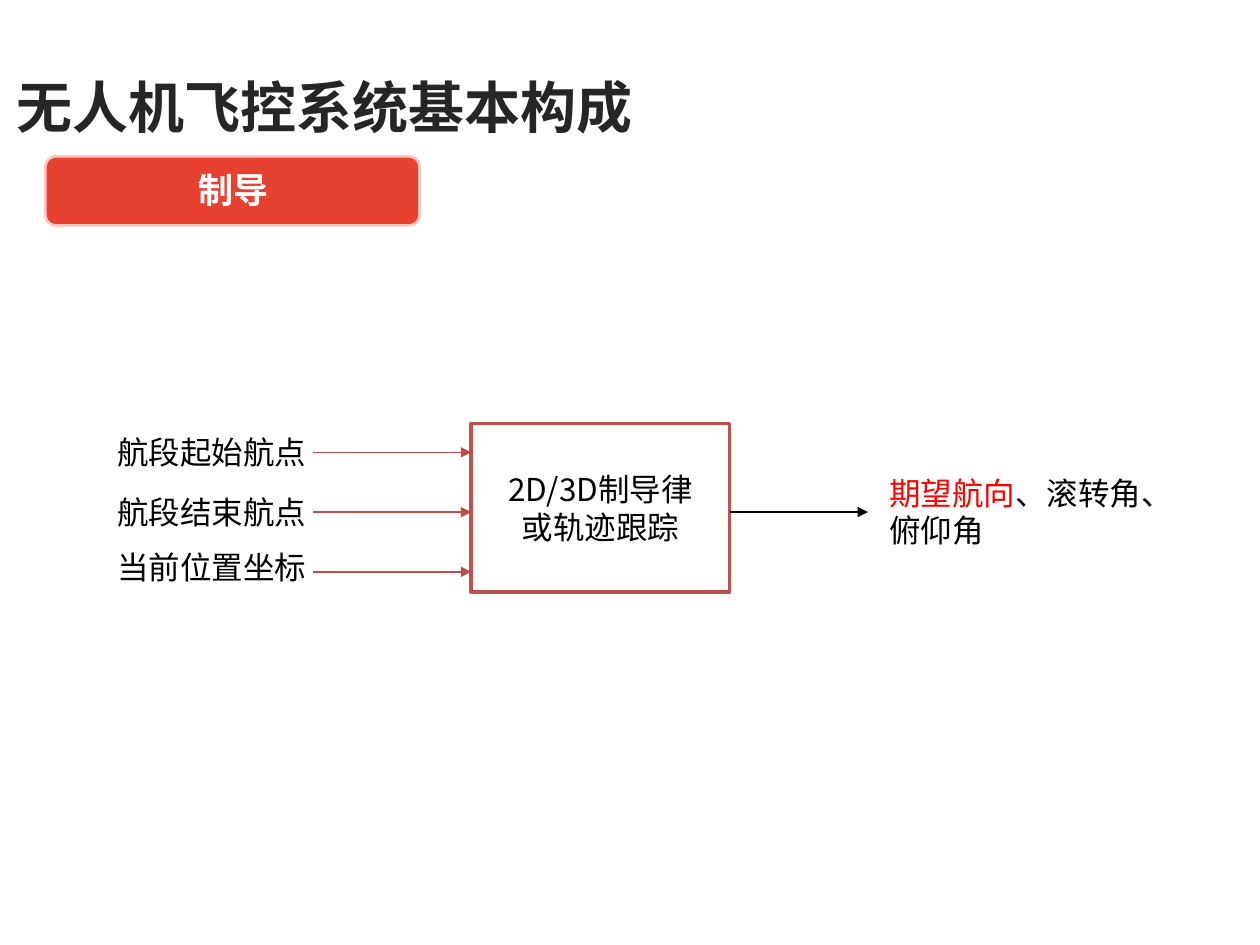
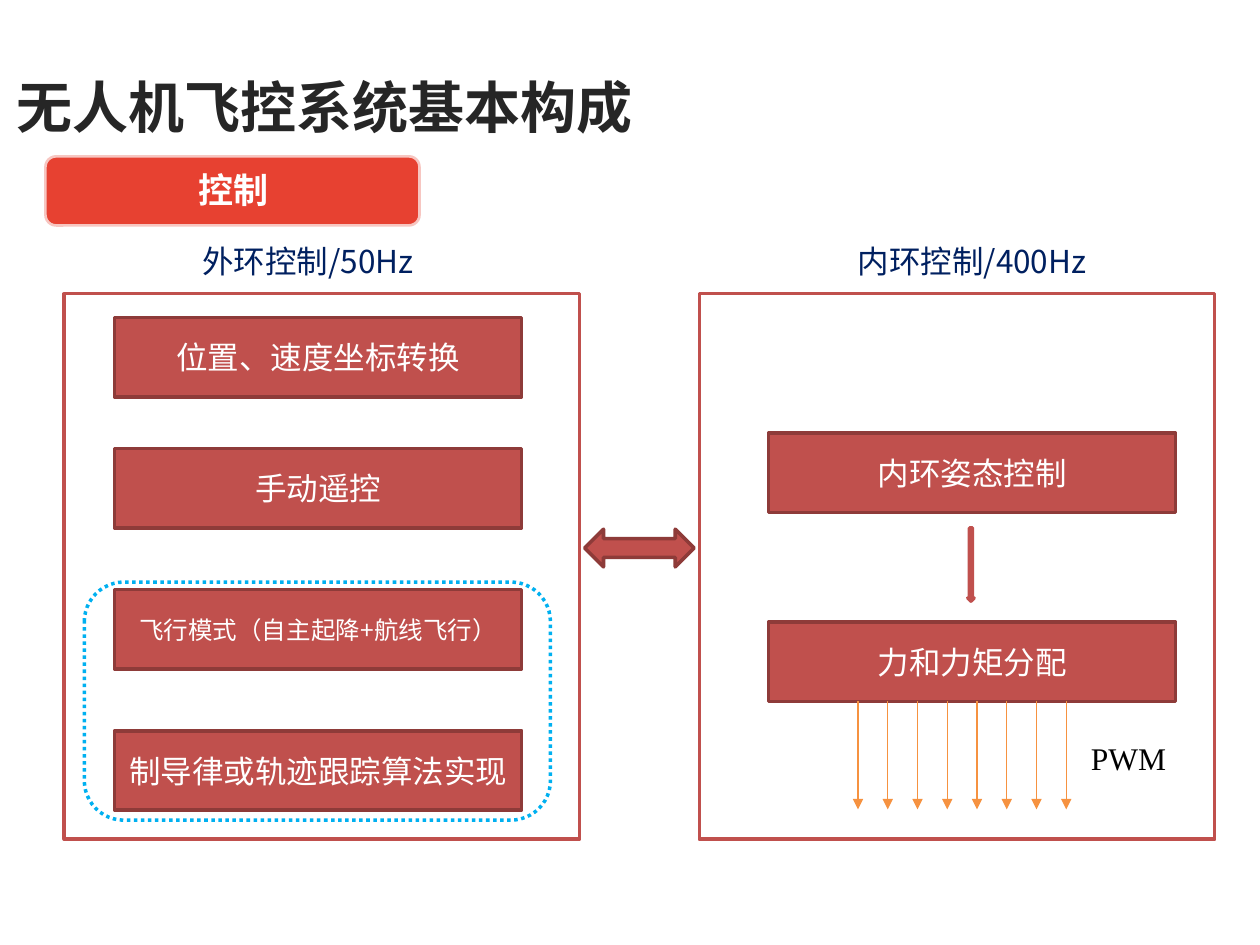
from dataclasses import dataclass

from lxml.etree import SubElement
from pptx import Presentation
from pptx.dml.color import RGBColor
from pptx.enum.dml import MSO_LINE
from pptx.enum.shapes import MSO_CONNECTOR, MSO_SHAPE
from pptx.enum.text import MSO_ANCHOR, MSO_AUTO_SIZE, PP_ALIGN
from pptx.oxml.ns import qn
from pptx.util import Pt


@dataclass(frozen=True)
class Theme:
    """Colours, fonts and sizes shared by the slides."""
    white: str = "FFFFFF"
    black: str = "000000"
    title: str = "262626"
    badge: str = "E74131"
    brick: str = "C0504D"
    brick_dark: str = "8E3B39"
    input_line: str = "BF4C48"
    highlight: str = "FF0000"
    navy: str = "002060"
    orange: str = "F69240"
    sky: str = "00B0F0"
    heading_font: str = "Noto Sans CJK SC"
    body_font: str = "Noto Sans CJK KR"
    signal_font: str = "Times New Roman"
    title_size: float = 32
    badge_size: float = 20
    body_size: float = 18
    small_size: float = 14
    outline: float = 2
    badge_outline: float = 3
    arrow_width: float = 0.75


THEME = Theme()


def dress(shape, paragraphs=(), fill=None, line=None, width=THEME.outline,
          font=THEME.body_font, size=THEME.body_size, bold=False,
          align=PP_ALIGN.CENTER, anchor=MSO_ANCHOR.MIDDLE, grow=False):
    """Set fill, outline and text; each paragraph is a list of (text, colour) runs."""
    shape.shadow.inherit = False
    if fill:
        shape.fill.solid()
        shape.fill.fore_color.rgb = RGBColor.from_string(fill)
    else:
        shape.fill.background()
    if line:
        shape.line.color.rgb = RGBColor.from_string(line)
        shape.line.width = Pt(width)
    else:
        shape.line.fill.background()
    frame = shape.text_frame
    frame.word_wrap = True
    frame.vertical_anchor = anchor
    frame.auto_size = MSO_AUTO_SIZE.SHAPE_TO_FIT_TEXT if grow else MSO_AUTO_SIZE.NONE
    for index, runs in enumerate(paragraphs):
        paragraph = frame.add_paragraph() if index else frame.paragraphs[0]
        paragraph.alignment = align
        for text, colour in runs:
            run = paragraph.add_run()
            run.text = text
            run.font.size = Pt(size)
            run.font.bold = bold
            run.font.name = font
            run.font.color.rgb = RGBColor.from_string(colour)
            SubElement(run._r.get_or_add_rPr(), qn("a:ea"), typeface=font)
    return shape


def add_arrow(slide, start, end, colour):
    """Draw a thin straight arrow from start to end."""
    arrow = slide.shapes.add_connector(
        MSO_CONNECTOR.STRAIGHT, *map(Pt, (*start, *end)))
    arrow.line.color.rgb = RGBColor.from_string(colour)
    arrow.line.width = Pt(THEME.arrow_width)
    SubElement(arrow.line._get_or_add_ln(), qn("a:tailEnd"), type="triangle")
    SubElement(arrow._element.spPr, qn("a:effectLst"))


deck = Presentation()
deck.slide_width, deck.slide_height = Pt(720), Pt(540)

# Shared title and section badge
slides = []
for section in ("制导", "控制"):
    slide = deck.slides.add_slide(deck.slide_layouts[5])
    title = slide.shapes.title
    title.left, title.top, title.width, title.height = map(Pt, (2, 32, 718, 57))
    dress(title, [[("无人机飞控系统基本构成", THEME.title)]], font=THEME.heading_font,
          size=THEME.title_size, bold=True, align=PP_ALIGN.LEFT)

    badge = slide.shapes.add_group_shape().shapes
    plate = badge.add_shape(MSO_SHAPE.ROUNDED_RECTANGLE, *map(Pt, (25.2, 88.6, 215.3, 41)))
    dress(plate, fill=THEME.badge, line=THEME.white, width=THEME.badge_outline)
    plate_line_colour = plate.line._get_or_add_ln().find(".//" + qn("a:srgbClr"))
    SubElement(plate_line_colour, qn("a:alpha"), val="70000")
    caption = badge.add_shape(MSO_SHAPE.RECTANGLE, *map(Pt, (30.2, 92.9, 206.6, 31.7)))
    dress(caption, [[(section, THEME.white)]], fill=THEME.badge, font=THEME.heading_font,
          size=THEME.badge_size, bold=True, anchor=MSO_ANCHOR.TOP, grow=True)
    slides.append(slide)

guidance, control = slides

# Guidance: three inputs, one law, one output
law_left, law_top, law_width, law_height = 269.3, 241.9, 147.6, 96.5
law = guidance.shapes.add_shape(
    MSO_SHAPE.FLOWCHART_PROCESS, *map(Pt, (law_left, law_top, law_width, law_height)))
dress(law, [[("2D/3D制导律", THEME.black)], [("或轨迹跟踪", THEME.black)]],
      fill=THEME.white, line=THEME.brick)

inputs = (("航段起始航点", 244), ("航段结束航点", 278), ("当前位置坐标", 309.6))
for row, (name, top) in enumerate(inputs):
    y = 258.5 + 34.15 * row
    add_arrow(guidance, (178.6, y), (law_left, y), THEME.input_line)
    label = guidance.shapes.add_textbox(*map(Pt, (59.8, top, 124.6, 28.8)))
    dress(label, [[(name, THEME.black)]], align=PP_ALIGN.LEFT,
          anchor=MSO_ANCHOR.TOP, grow=True)

add_arrow(guidance, (law_left + law_width, 292.6), (496, 292.6), THEME.black)
output = guidance.shapes.add_textbox(*map(Pt, (501.1, 267.1, 164.9, 51.1)))
dress(output, [[("期望航向", THEME.highlight), ("、滚转角、俯仰角", THEME.black)]],
      align=PP_ALIGN.LEFT, anchor=MSO_ANCHOR.TOP, grow=True)

# Control: outer and inner loop, each a heading, a panel and its steps
step_width, step_height = 232.6, 45.4
loops = (
    ("外环控制/50Hz", 65.5, 36.7, 65.5, (
        ("位置、速度坐标转换", 181.4, THEME.body_size),
        ("手动遥控", 256.3, THEME.body_size),
        ("飞行模式（自主起降+航线飞行）", 337, THEME.small_size),
        ("制导律或轨迹跟踪算法实现", 417.6, THEME.body_size))),
    ("内环控制/400Hz", 445, 399.6, 439.2, (
        ("内环姿态控制", 247.4, THEME.body_size),
        ("力和力矩分配", 355.5, THEME.body_size))),
)
for name, heading_left, panel_left, step_left, steps in loops:
    panel = control.shapes.add_shape(
        MSO_SHAPE.RECTANGLE, *map(Pt, (panel_left, 167.8, 294.5, 311.8)))
    dress(panel, fill=THEME.white, line=THEME.brick)
    heading = control.shapes.add_textbox(*map(Pt, (heading_left, 134.6, 221, 28.8)))
    dress(heading, [[(name, THEME.navy)]], anchor=MSO_ANCHOR.TOP, grow=True)
    for text, top, size in steps:
        step = control.shapes.add_shape(
            MSO_SHAPE.RECTANGLE, *map(Pt, (step_left, top, step_width, step_height)))
        dress(step, [[(text, THEME.white)]], fill=THEME.brick,
              line=THEME.brick_dark, size=size)

inner_flow = control.shapes.add_shape(
    MSO_SHAPE.DOWN_ARROW, *map(Pt, (553, 301.7, 3.6, 41.8)))
dress(inner_flow, fill=THEME.white, line=THEME.brick)

for channel in range(8):
    x = 490.3 + 17 * channel
    add_arrow(control, (x, 400.7), (x, 462.5), THEME.orange)
pwm = control.shapes.add_textbox(*map(Pt, (616.3, 419, 93.6, 28.8)))
dress(pwm, [[("PWM", THEME.black)]], font=THEME.signal_font, align=PP_ALIGN.LEFT,
      anchor=MSO_ANCHOR.TOP, grow=True)

loop_exchange = control.shapes.add_shape(
    MSO_SHAPE.LEFT_RIGHT_ARROW, *map(Pt, (334.1, 302.4, 62.6, 21.6)))
dress(loop_exchange, fill=THEME.brick, line=THEME.brick_dark)

autonomy = control.shapes.add_shape(
    MSO_SHAPE.ROUNDED_RECTANGLE, *map(Pt, (48.2, 332.6, 266.4, 136.1)))
dress(autonomy, line=THEME.sky)
autonomy.line.dash_style = MSO_LINE.ROUND_DOT

deck.save("out.pptx")
